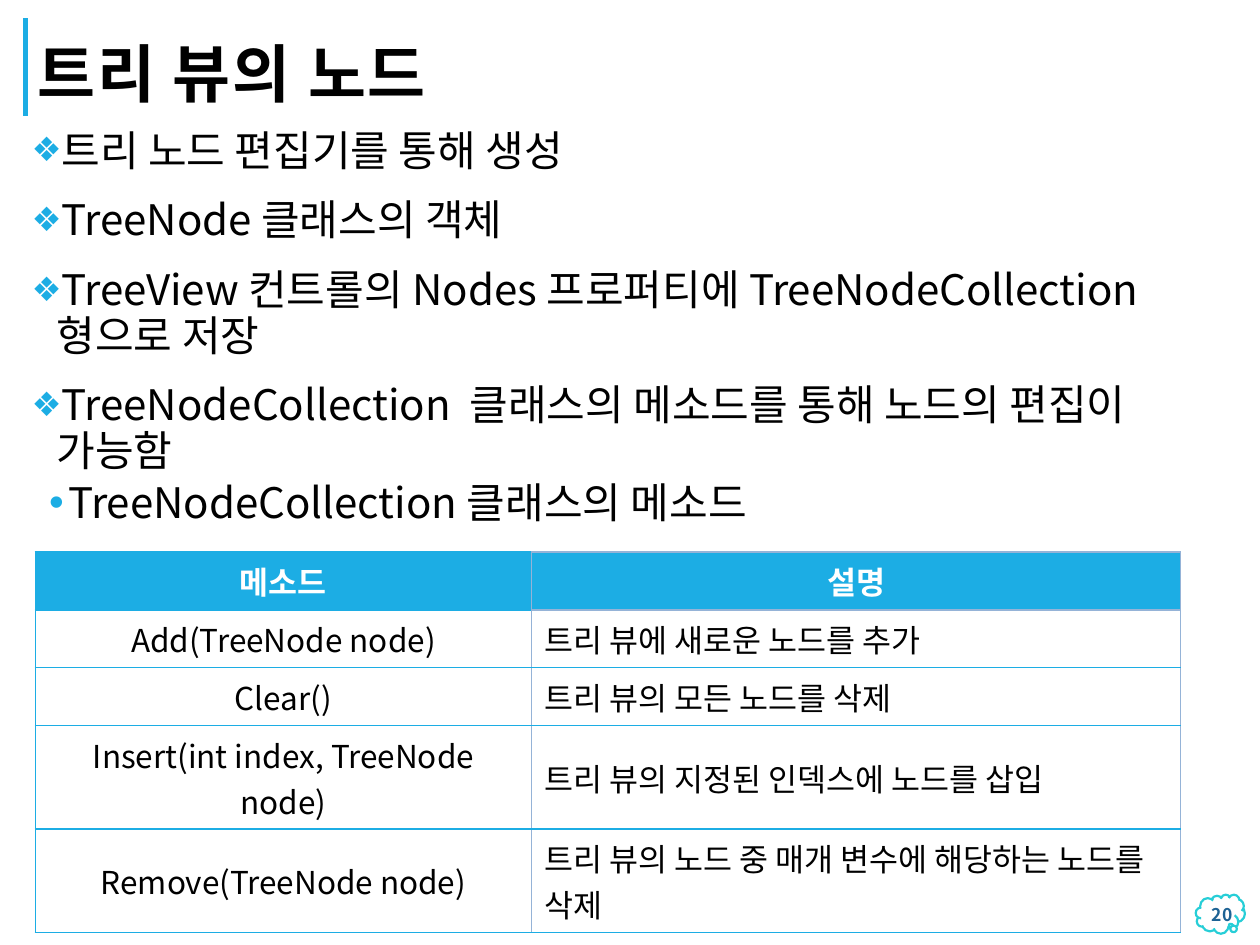
from lxml import etree
from pptx import Presentation
from pptx.dml.color import RGBColor
from pptx.enum.shapes import MSO_CONNECTOR, MSO_SHAPE
from pptx.enum.text import MSO_ANCHOR, MSO_AUTO_SIZE, PP_ALIGN
from pptx.oxml.ns import qn
from pptx.util import Inches, Pt

LEFT, CENTER, RIGHT = PP_ALIGN.LEFT, PP_ALIGN.CENTER, PP_ALIGN.RIGHT
MIDDLE, BOTTOM = MSO_ANCHOR.MIDDLE, MSO_ANCHOR.BOTTOM
STRAIGHT = MSO_CONNECTOR.STRAIGHT
CLOUD = MSO_SHAPE.CLOUD_CALLOUT
NO_FIT = MSO_AUTO_SIZE.NONE

FONT = "Noto Sans CJK KR"
BLUE, GREY, TEAL, NAVY = "1CADE4", "95B3D7", "27CED7", "1D6294"
BLACK, WHITE = "000000", "FFFFFF"

POINTS = [
    (0, "트리 노드 편집기를 통해 생성"),
    (0, "TreeNode 클래스의 객체"),
    (0, "TreeView 컨트롤의 Nodes 프로퍼티에 TreeNodeCollection 형으로 저장"),
    (0, "TreeNodeCollection  클래스의 메소드를 통해 노드의 편집이 가능함"),
    (1, "TreeNodeCollection 클래스의 메소드"),
]
# Per level: mark, mark size, left margin, indent, space before, space after
LEVELS = [("❖", 80, 0.2, -0.38, 12, 2), ("•", 100, 0.29, -0.15, 2, 4)]

METHODS = [
    ("메소드", "설명"),
    ("Add(TreeNode node)", "트리 뷰에 새로운 노드를 추가"),
    ("Clear()", "트리 뷰의 모든 노드를 삭제"),
    ("Insert(int index, TreeNode node)", "트리 뷰의 지정된 인덱스에 노드를 삽입"),
    ("Remove(TreeNode node)", "트리 뷰의 노드 중 매개 변수에 해당하는 노드를 삭제"),
]


def rgb(code):
    return RGBColor.from_string(code)


def add(parent, tag, **attrs):
    """Append an XML child and return it."""
    return etree.SubElement(parent, qn(tag), {k: str(v) for k, v in attrs.items()})


class Deck:
    def __init__(self):
        self.prs = Presentation()
        self.prs.slide_width, self.prs.slide_height = Inches(10), Inches(7.5)
        self.slide = self.prs.slides.add_slide(self.prs.slide_layouts[1])
        self.shapes = self.slide.shapes

    def style(self, para, size, color=BLACK, bold=False, align=LEFT):
        para.alignment = align
        font = para.font
        font.size, font.bold, font.name = Pt(size), bold, FONT
        font.color.rgb = rgb(color)
        props = para._p.pPr.find(qn("a:defRPr"))
        add(props, "a:ea", typeface=FONT)
        return props

    def place(self, shape, *box):
        shape.left, shape.top, shape.width, shape.height = map(Inches, box)

    def title(self, text, *box):
        shape = self.shapes.title
        self.place(shape, *box)
        frame = shape.text_frame
        frame.text = text
        frame.auto_size, frame.vertical_anchor = NO_FIT, BOTTOM
        para = frame.paragraphs[0]
        para.line_spacing = 0.8
        self.style(para, 36, bold=True).set("spc", "100")

    def body(self, points, *box):
        shape = self.slide.placeholders[1]
        self.place(shape, *box)
        frame = shape.text_frame
        frame.auto_size = NO_FIT
        frame.margin_left = frame.margin_right = Inches(0.05)
        frame.margin_top = frame.margin_bottom = Inches(0.05)
        for i, (level, text) in enumerate(points):
            para = frame.add_paragraph() if i else frame.paragraphs[0]
            para.text, para.level = text, level
            mark, size, margin, indent, before, after = LEVELS[level]
            para.line_spacing = 0.9
            para.space_before = Pt(before if i else 0)
            para.space_after = Pt(after)
            props = para._p.get_or_add_pPr()
            props.set("marL", str(Inches(margin)))
            props.set("indent", str(Inches(indent)))
            add(add(props, "a:buClr"), "a:srgbClr", val=BLUE)
            add(props, "a:buSzPct", val=size * 1000)
            add(props, "a:buChar", char=mark)
            self.style(para, 24)

    def line(self, x1, y1, x2, y2, color, width):
        line = self.shapes.add_connector(STRAIGHT, *map(Inches, (x1, y1, x2, y2)))
        line.line.color.rgb, line.line.width = rgb(color), Pt(width)
        add(line._element.spPr, "a:effectLst")

    def cloud(self, *box):
        cloud = self.shapes.add_shape(CLOUD, *map(Inches, box))
        cloud.shadow.inherit = False
        cloud.adjustments[0], cloud.adjustments[1] = 0.2, 0.28
        cloud.fill.solid()
        cloud.fill.fore_color.rgb = rgb(WHITE)
        cloud.line.color.rgb, cloud.line.width = rgb(TEAL), Pt(1.25)

    def number(self, text, *box):
        frame = self.shapes.add_textbox(*map(Inches, box)).text_frame
        frame.word_wrap, frame.vertical_anchor = True, MIDDLE
        frame.text = text
        self.style(frame.paragraphs[0], 10, NAVY, True, RIGHT)

    def cell(self, cell, text, fill, color, bold, align, edges):
        """Fill one cell; edges are the left, right, top and bottom colours."""
        cell.text, cell.vertical_anchor = text, MIDDLE
        self.style(cell.text_frame.paragraphs[0], 18, color, bold, align)
        props = cell._tc.get_or_add_tcPr()
        for side, edge in zip("LRTB", edges):
            line = add(props, f"a:ln{side}", w=Pt(1))
            add(add(line, "a:solidFill"), "a:srgbClr", val=edge)
        cell.fill.solid()
        cell.fill.fore_color.rgb = rgb(fill)

    def table(self, rows, widths, heights, left, top):
        box = map(Inches, (left, top, sum(widths), sum(heights)))
        table = self.shapes.add_table(len(rows), len(widths), *box).table
        for col, width in zip(table.columns, widths):
            col.width = Inches(width)
        for r, (row, height) in enumerate(zip(rows, heights)):
            table.rows[r].height = Inches(height)
            head = r == 0
            fill, color = (BLUE, WHITE) if head else (WHITE, BLACK)
            for c, text in enumerate(row):
                align = CENTER if head or c == 0 else LEFT
                edges = (GREY if c else BLUE, GREY,
                         GREY if c and r < 2 else BLUE,
                         GREY if c and head else BLUE)
                self.cell(table.cell(r, c), text, fill, color, head, align, edges)


def main():
    deck = Deck()
    deck.line(0.2, 0.92, 0.2, 0.14, BLUE, 3)
    deck.cloud(9.49, 7.1, 0.39, 0.31)
    deck.body(POINTS, 0.2, 0.98, 9.61, 6.14)
    deck.title("트리 뷰의 노드", 0.2, 0.14, 7.97, 0.78)
    deck.number("20", 9.25, 7.09, 0.63, 0.34)
    deck.table(METHODS, (3.94, 5.15), (0.46, 0.46, 0.46, 0.82, 0.82), 0.28, 4.38)
    deck.prs.save("out.pptx")


if __name__ == "__main__":
    main()
